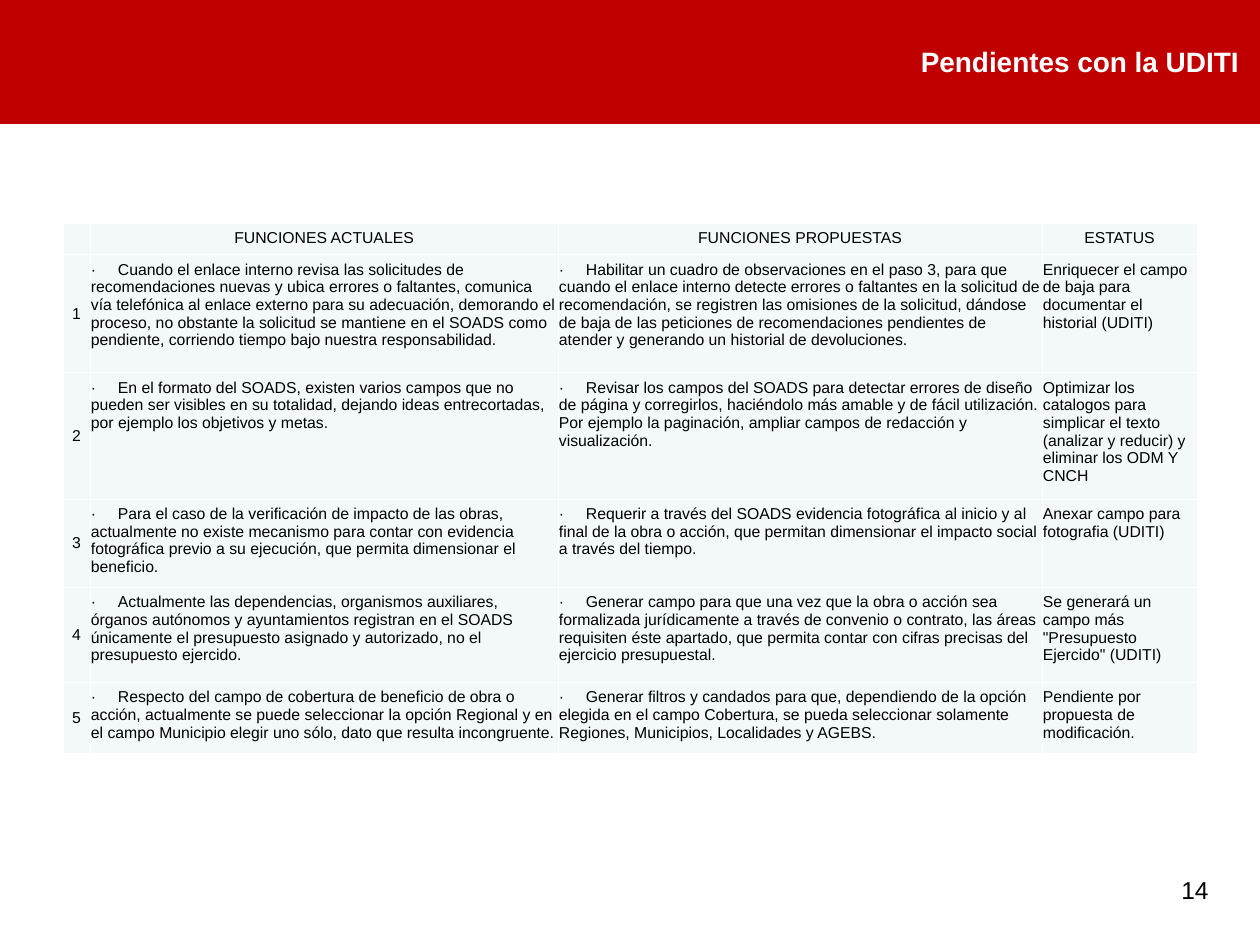
"""Build the slide listing the changes pending with the UDITI."""
from lxml import etree
from pptx import Presentation
from pptx.dml.color import RGBColor
from pptx.enum.text import MSO_ANCHOR, MSO_AUTO_SIZE, PP_ALIGN
from pptx.oxml.ns import qn
from pptx.util import Inches, Pt

LEFT, CENTER, RIGHT = PP_ALIGN.LEFT, PP_ALIGN.CENTER, PP_ALIGN.RIGHT
TOP, MIDDLE = MSO_ANCHOR.TOP, MSO_ANCHOR.MIDDLE

TITLE = "Pendientes con la UDITI"
PAGE = "14"
HEADERS = ["", "FUNCIONES ACTUALES", "FUNCIONES PROPUESTAS", "ESTATUS"]
ITEMS = [
    ("Cuando el enlace interno revisa las solicitudes de recomendaciones nuevas y ubica errores o "
     "faltantes, comunica vía telefónica al enlace externo para su adecuación, demorando el proceso, "
     "no obstante la solicitud se mantiene en el SOADS como pendiente, corriendo tiempo bajo nuestra "
     "responsabilidad.",
     "Habilitar un cuadro de observaciones en el paso 3, para que cuando el enlace interno detecte "
     "errores o faltantes en la solicitud de recomendación, se registren las omisiones de la "
     "solicitud, dándose de baja de las peticiones de recomendaciones pendientes de atender y "
     "generando un historial de devoluciones.",
     "Enriquecer el campo de baja para documentar el historial (UDITI)"),
    ("En el formato del SOADS, existen varios campos que no pueden ser visibles en su totalidad, "
     "dejando ideas entrecortadas, por ejemplo los objetivos y metas.",
     "Revisar los campos del SOADS para detectar errores de diseño de página y corregirlos, "
     "haciéndolo más amable y de fácil utilización. Por ejemplo la paginación, ampliar campos de "
     "redacción y visualización.",
     "Optimizar los catalogos para simplicar el texto (analizar y reducir) y eliminar los ODM Y CNCH"),
    ("Para el caso de la verificación de impacto de las obras, actualmente no existe mecanismo para "
     "contar con evidencia fotográfica previo a su ejecución, que permita dimensionar el beneficio.",
     "Requerir a través del SOADS evidencia fotográfica al inicio y al final de la obra o acción, "
     "que permitan dimensionar el impacto social a través del tiempo.",
     "Anexar campo para fotografia (UDITI)"),
    ("Actualmente las dependencias, organismos auxiliares, órganos autónomos y ayuntamientos "
     "registran en el SOADS únicamente el presupuesto asignado y autorizado, no el presupuesto "
     "ejercido.",
     "Generar campo para que una vez que la obra o acción sea formalizada jurídicamente a través de "
     "convenio o contrato, las áreas requisiten éste apartado, que permita contar con cifras "
     "precisas del ejercicio presupuestal.",
     'Se generará un campo más "Presupuesto Ejercido" (UDITI)'),
    ("Respecto del campo de cobertura de beneficio de obra o acción, actualmente se puede "
     "seleccionar la opción Regional y en el campo Municipio elegir uno sólo, dato que resulta "
     "incongruente.",
     "Generar filtros y candados para que, dependiendo de la opción elegida en el campo Cobertura, "
     "se pueda seleccionar solamente Regiones, Municipios, Localidades y AGEBS.",
     "Pendiente por propuesta de modificación."),
]
COLORS = {"band": "C00000", "cell": "F3F9FA", "white": "FFFFFF", "text": "000000"}
COLS = [27, 468, 484, 155]
ROWS = [24, 118, 115, 77, 95, 71]
TABLE_LEFT, TABLE_TOP = 63, 223
BULLET_GAP = 27
BORDER = Pt(0.45)


def px(n):
    return Inches(n / 126)


def rgb(name):
    return RGBColor.from_string(COLORS[name])


def set_attrs(obj, values):
    for name, value in values.items():
        setattr(obj, name, value)


def write(tf, text, size, color="text", align=LEFT, bold=False):
    p = tf.paragraphs[0]
    p.alignment = align
    if not text:
        etree.SubElement(p._p, qn("a:endParaRPr"), sz=str(size * 100))
        return
    r = p.add_run()
    r.text = text
    set_attrs(r.font, {"name": "Arial", "size": Pt(size), "bold": bold})
    r.font.color.rgb = rgb(color)


def add_tab_stop(p):
    tabs = etree.SubElement(p._p.get_or_add_pPr(), qn("a:tabLst"))
    etree.SubElement(tabs, qn("a:tab"), pos=str(px(BULLET_GAP)), algn="l")


def set_borders(cell):
    tc_pr = cell._tc.get_or_add_tcPr()
    for i, side in enumerate(("lnL", "lnR", "lnT", "lnB")):
        ln = etree.Element(qn(f"a:{side}"), w=str(BORDER))
        fill = etree.SubElement(ln, qn("a:solidFill"))
        etree.SubElement(fill, qn("a:srgbClr"), val=COLORS["white"])
        tc_pr.insert(i, ln)


def add_title(s):
    sp = s.shapes.title
    set_attrs(sp, {"left": 0, "top": px(-2), "width": px(1260), "height": px(126)})
    sp.fill.solid()
    sp.fill.fore_color.rgb = rgb("band")
    set_attrs(sp.text_frame, {"vertical_anchor": MIDDLE, "auto_size": MSO_AUTO_SIZE.NONE,
                              "word_wrap": True, "margin_right": px(21)})
    write(sp.text_frame, TITLE, 16, "white", RIGHT, True)


def add_page_number(s):
    tf = s.shapes.add_textbox(px(927), px(869), px(294), px(50)).text_frame
    tf.word_wrap = True
    write(tf, PAGE, 14, align=RIGHT)


def add_pending_table(s):
    rows = [HEADERS] + [(str(n), *item) for n, item in enumerate(ITEMS, 1)]
    table = s.shapes.add_table(len(ROWS), len(COLS), px(TABLE_LEFT), px(TABLE_TOP),
                               px(sum(COLS)), px(sum(ROWS))).table
    set_attrs(table, {"first_row": False, "horz_banding": False})
    for col, width in zip(table.columns, COLS):
        col.width = px(width)
    for row, height in zip(table.rows, ROWS):
        row.height = px(height)
    for i, texts in enumerate(rows):
        for j, text in enumerate(texts):
            cell = table.cell(i, j)
            set_attrs(cell, {"margin_left": px(1), "margin_right": px(1),
                             "vertical_anchor": MIDDLE if i and j == 0 else TOP})
            cell.fill.solid()
            cell.fill.fore_color.rgb = rgb("cell")
            set_borders(cell)
            if i and j in (1, 2):
                add_tab_stop(cell.text_frame.paragraphs[0])
                text = f"·\t{text}"
            write(cell.text_frame, text, 9, align=CENTER if i == 0 or j == 0 else LEFT)


def main():
    prs = Presentation()
    set_attrs(prs, {"slide_width": px(1260), "slide_height": px(945)})
    s = prs.slides.add_slide(prs.slide_layouts[5])
    add_title(s)
    add_page_number(s)
    add_pending_table(s)
    prs.save("out.pptx")


if __name__ == "__main__":
    main()
